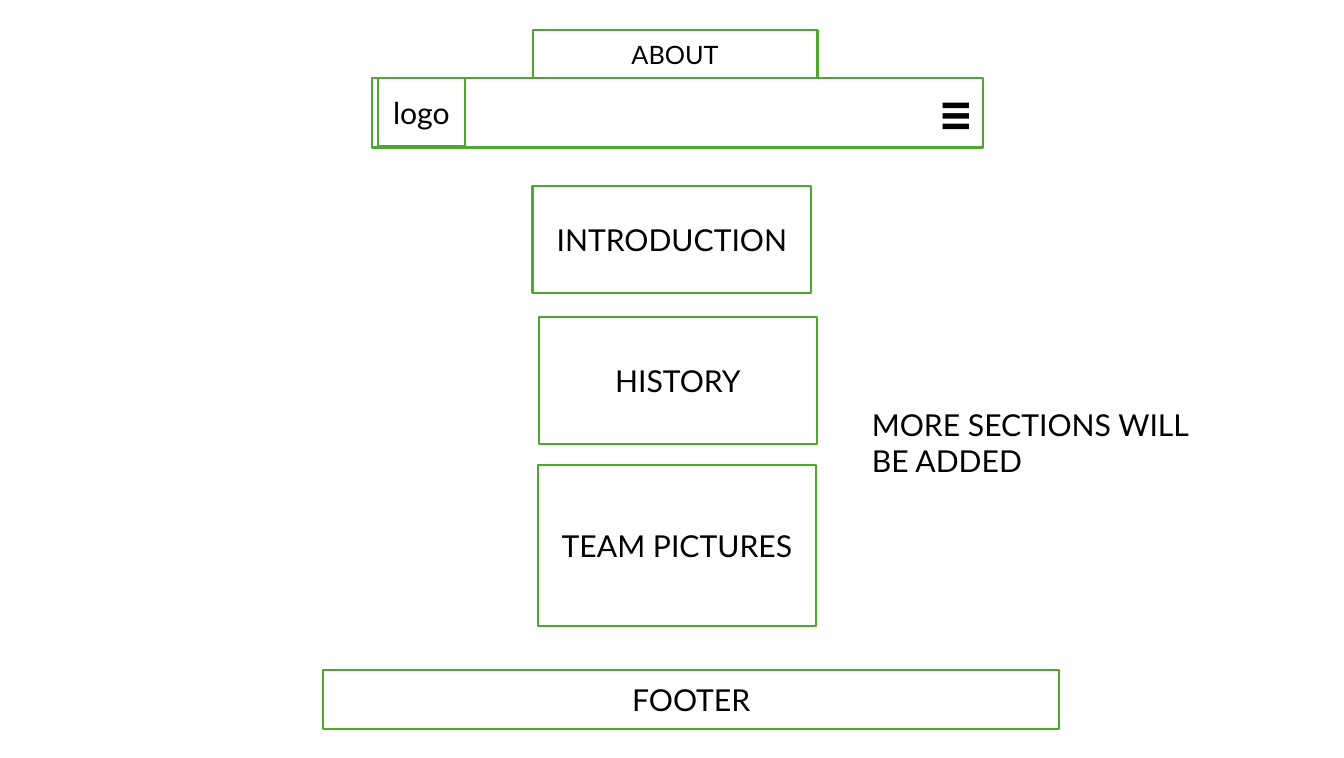
import pptx
import pptx.util
import pptx.dml.color
import pptx.enum.shapes
import pptx.enum.text

Inches = pptx.util.Inches
Align = pptx.enum.text.PP_ALIGN

COLORS = {"paper": "FFFFFF", "outline": "4EA72E", "ink": "000000"}
FONT = "Lato"
BODY_SIZE = 21.5
SECTION_WIDTH = 2.76


def color(name):
    return pptx.dml.color.RGBColor.from_string(COLORS[name])


def write(shape, text, size=BODY_SIZE, align=Align.CENTER, bold=False):
    frame = shape.text_frame
    frame.text = text
    frame.word_wrap = True
    para = frame.paragraphs[0]
    para.alignment = align
    for span in para.runs:
        span.font.name = FONT
        span.font.size = pptx.util.Pt(size)
        span.font.bold = bold
        span.font.color.rgb = color("ink")


def outline(shape):
    shape.fill.solid()
    shape.fill.fore_color.rgb = color("paper")
    shape.line.color.rgb = color("outline")
    shape.line.width = pptx.util.Pt(1.5)
    shape.text_frame.vertical_anchor = pptx.enum.text.MSO_ANCHOR.MIDDLE


def add_block(page, box, text, **style):
    block = page.shapes.add_shape(
        pptx.enum.shapes.MSO_SHAPE.RECTANGLE, *map(Inches, box))
    block.shadow.inherit = False
    outline(block)
    write(block, text, **style)


def place_title(page, box, text):
    title = page.shapes.title
    title.left, title.top, title.width, title.height = map(Inches, box)
    outline(title)
    write(title, text, size=18)
    title.text_frame.auto_size = pptx.enum.text.MSO_AUTO_SIZE.NONE
    title.text_frame.paragraphs[0].line_spacing = 1.0


def add_sections(page, box):
    left, top, width, _ = box
    sections = [
        ("INTRODUCTION", 0, 0, 1.06),
        ("HISTORY", 0.06, 1.3, 1.25),
        ("TEAM PICTURES", 0.05, 2.76, 1.59),
    ]
    for text, shift, drop, height in sections:
        add_block(page, (left + shift, top + drop, width, height), text)


def add_note(page, box, text):
    note = page.shapes.add_textbox(*map(Inches, box))
    write(note, text, align=Align.LEFT)
    note.text_frame.auto_size = pptx.enum.text.MSO_AUTO_SIZE.SHAPE_TO_FIT_TEXT


def add_navigation(page, box):
    left, top, _, height = box
    add_block(page, box, "≡", size=42.5, align=Align.RIGHT, bold=True)
    add_block(page, (left + 0.06, top, 0.86, height - 0.01), "logo")


def build_about_page(deck):
    page = deck.slides.add_slide(deck.slide_layouts[5])
    place_title(page, (5.27, 0.3, 2.82, 0.47), "ABOUT")
    add_block(page, (3.2, 6.63, 7.28, 0.58), "FOOTER")
    add_sections(page, (5.27, 1.84, SECTION_WIDTH, 4.35))
    add_note(page, (8.53, 3.97, 3.76, 0.82), "MORE SECTIONS WILL BE ADDED")
    add_navigation(page, (3.68, 0.77, 6.05, 0.69))


def main():
    deck = pptx.Presentation()
    deck.slide_width = Inches(13.3)
    deck.slide_height = Inches(7.5)
    build_about_page(deck)
    deck.save("out.pptx")


if __name__ == "__main__":
    main()
